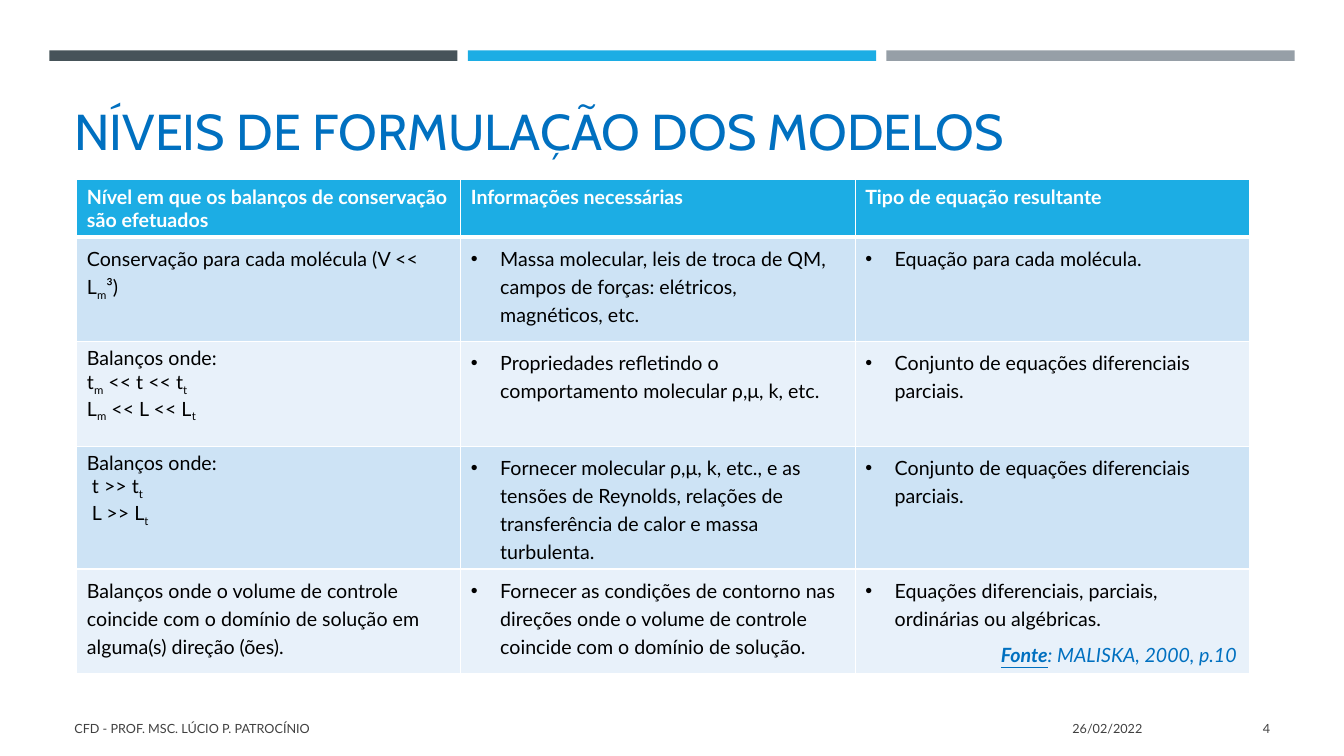
from pptx import Presentation
from pptx.util import Pt
from pptx.dml.color import RGBColor as RGB
from pptx.enum.shapes import MSO_SHAPE as Shape
from pptx.enum.text import MSO_ANCHOR as Anchor, PP_ALIGN as Align
from lxml.etree import SubElement as Sub
from pptx.oxml.ns import qn

COLORS = {
    "slate": "465359", "sky": "1CADE4", "gray": "969FA7", "blue": "0070C0",
    "dark": "404040", "black": "000000", "white": "FFFFFF",
    "band": "CDE3F5", "pale": "E8F1FA",
}
SUBSCRIPT = {"baseline": "-25000"}


def write(frame, text, size=14, color="black", font="Lato", bold=False, italic=False,
          align=Align.LEFT, anchor=Anchor.TOP, loose=False, bullet=False, marked=SUBSCRIPT):
    frame.word_wrap = True
    frame.vertical_anchor = anchor
    for i, line in enumerate(text.split("\n")):
        para = frame.add_paragraph() if i else frame.paragraphs[0]
        para.alignment = align
        if loose:
            para.line_spacing = 1.2
            para.space_before = Pt(12)
        if bullet:
            props = para._p.get_or_add_pPr()
            props.set("marL", str(Pt(21)))
            props.set("indent", str(-Pt(21)))
            Sub(props, qn("a:buFont"), typeface="Arial")
            Sub(props, qn("a:buChar"), char="•")
        for j, part in enumerate(line.split("_")):
            if not part:
                continue
            run = para.add_run()
            run.text = part
            run.font.size = Pt(size)
            run.font.name = font
            run.font.bold = bold
            run.font.italic = italic
            run.font.color.rgb = RGB.from_string(COLORS[color])
            if j % 2:
                for key, value in marked.items():
                    run._r.get_or_add_rPr().set(key, value)


deck = Presentation()
deck.slide_width, deck.slide_height = Pt(960), Pt(540)
slide = deck.slides.add_slide(deck.slide_layouts[6])
shapes = slide.shapes

for i, color in enumerate(["slate", "sky", "gray"]):
    bar = shapes.add_shape(Shape.RECTANGLE, Pt(35.2 + 299 * i), Pt(36), Pt(291.6), Pt(7.5))
    bar.shadow.inherit = False
    bar.fill.solid()
    bar.fill.fore_color.rgb = RGB.from_string(COLORS[color])
    bar.line.fill.background()

rows = [
    ["Nível em que os balanços de conservação são efetuados",
     "Informações necessárias", "Tipo de equação resultante"],
    ["Conservação para cada molécula (V << L_m_³)",
     "Massa molecular, leis de troca de QM, campos de forças: elétricos, magnéticos, etc.",
     "Equação para cada molécula."],
    ["Balanços onde:\nt_m_ << t << t_t_\nL_m_ << L << L_t_",
     "Propriedades refletindo o comportamento molecular ρ,μ, k, etc.",
     "Conjunto de equações diferenciais parciais."],
    ["Balanços onde:\n t >> t_t_\n L >> L_t_",
     "Fornecer molecular ρ,μ, k, etc., e as tensões de Reynolds, "
     "relações de transferência de calor e massa turbulenta.",
     "Conjunto de equações diferenciais parciais."],
    ["Balanços onde o volume de controle coincide com o domínio de solução "
     "em alguma(s) direção (ões).",
     "Fornecer as condições de contorno nas direções onde o volume de controle "
     "coincide com o domínio de solução.",
     "Equações diferenciais, parciais, ordinárias ou algébricas."],
]
heights = [40.5, 74.7, 74.7, 87.8, 74.7]
table = shapes.add_table(5, 3, Pt(54.9), Pt(128.4), Pt(838), Pt(sum(heights))).table
for col, width in zip(table.columns, [274.2, 281.8, 282]):
    col.width = Pt(width)
for r, texts in enumerate(rows):
    table.rows[r].height = Pt(heights[r])
    for c, text in enumerate(texts):
        cell = table.cell(r, c)
        props = cell._tc.get_or_add_tcPr()
        for side in "LRTB":
            thick = (r, side) in [(0, "B"), (1, "T")]
            edge = Sub(props, qn("a:ln" + side), w=str(Pt(3 if thick else 1)))
            Sub(Sub(edge, qn("a:solidFill")), qn("a:srgbClr"), val=COLORS["white"])
        fill = "sky" if r == 0 else "band" if r % 2 else "pale"
        cell.fill.solid()
        cell.fill.fore_color.rgb = RGB.from_string(COLORS[fill])
        write(cell.text_frame, text, color="black" if r else "white", bold=r == 0,
              loose=r > 0 and "\n" not in text, bullet=r > 0 and c > 0)

small = dict(size=9, color="dark", anchor=Anchor.MIDDLE)
labels = [
    ("NÍVEIS DE FORMULAÇÃO DOS MODELOS", 46, 55.4, 868, 62.6,
     dict(size=36, color="blue", font="Cabin", anchor=Anchor.BOTTOM)),
    ("26/02/2022", 599, 506, 224, 28.8, dict(small, align=Align.RIGHT)),
    ("CFD - PROF. MSC. LÚCIO P. PATROCÍNIO", 46, 506, 544, 28.8, small),
    ("4", 831.6, 506, 82.8, 28.8, dict(small, align=Align.RIGHT)),
    ("_Fonte_: MALISKA, 2000, p.10", 707.8, 455.8, 185, 24.5,
     dict(color="blue", italic=True, marked={"b": "1", "u": "sng"})),
]
for text, left, top, width, height, style in labels:
    box = shapes.add_textbox(Pt(left), Pt(top), Pt(width), Pt(height))
    write(box.text_frame, text, **style)

deck.save("out.pptx")
